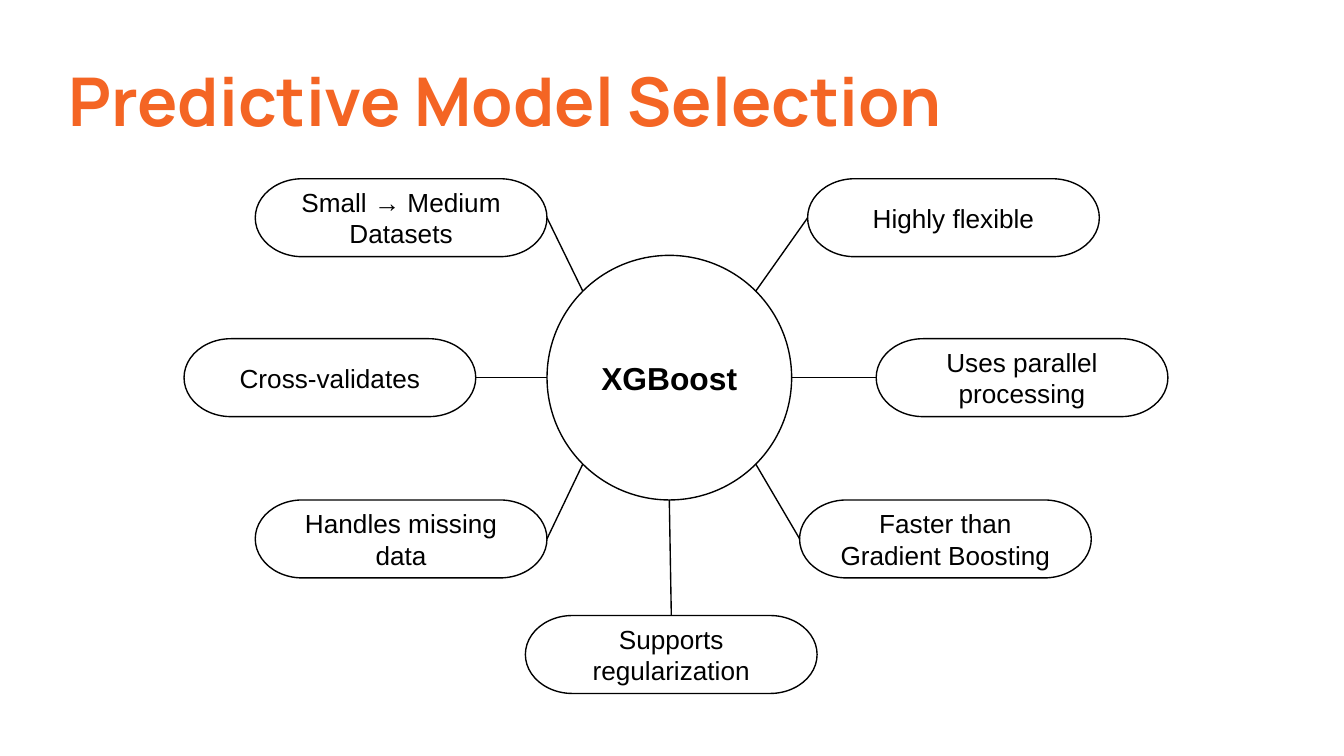
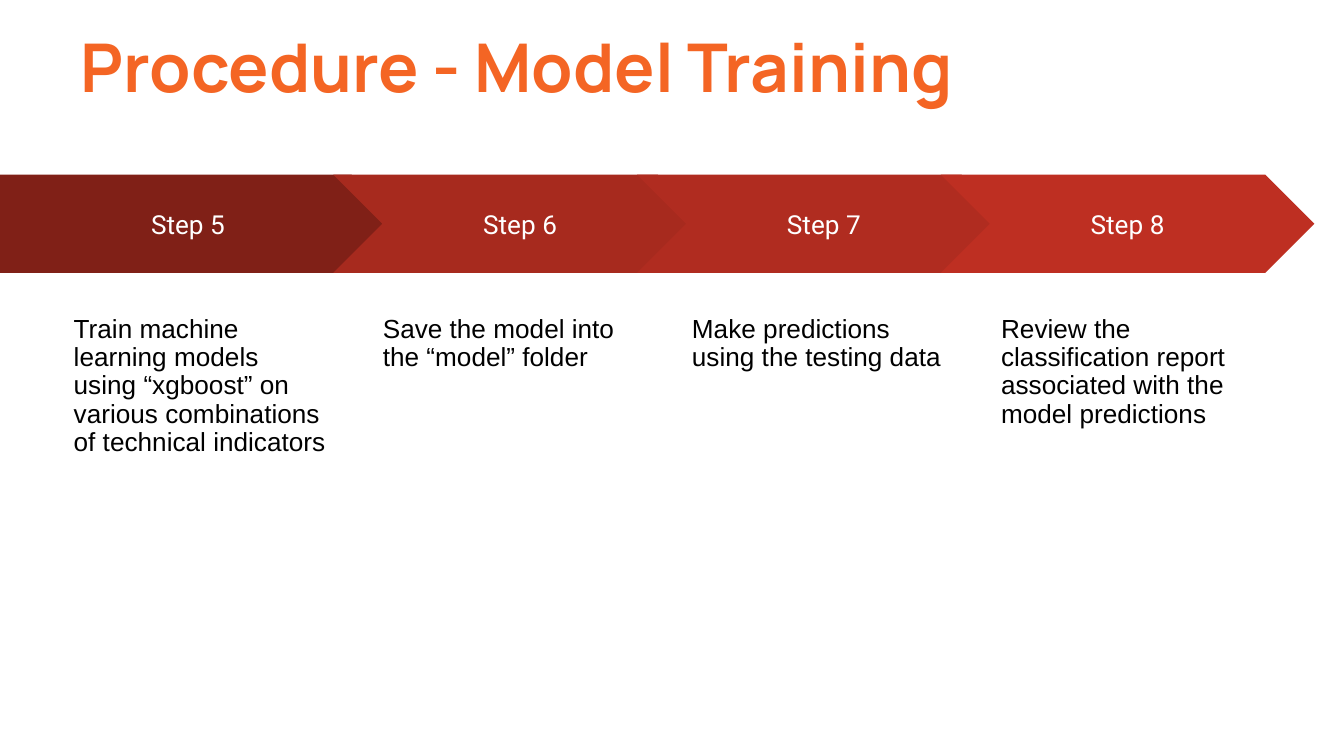
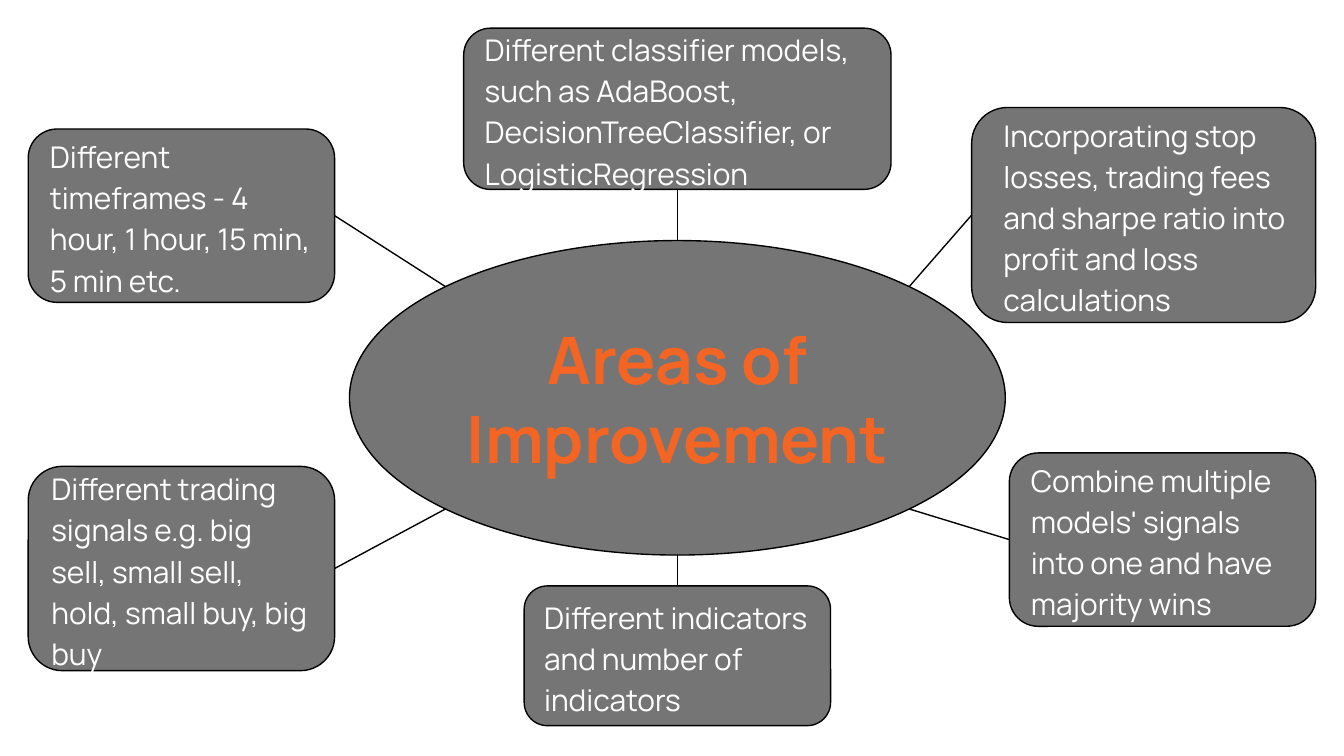
import math

import pptx
import pptx.dml.color
import pptx.enum.shapes
import pptx.enum.text
import pptx.oxml
import pptx.util

Inches = pptx.util.Inches
Pt = pptx.util.Pt
RGBColor = pptx.dml.color.RGBColor
SHAPE = pptx.enum.shapes.MSO_SHAPE
ALIGN = pptx.enum.text.PP_ALIGN
ANCHOR = pptx.enum.text.MSO_ANCHOR

ORANGE = RGBColor(0xF4, 0x65, 0x24)
BLACK = RGBColor(0, 0, 0)
WHITE = RGBColor(255, 255, 255)
GRAY = RGBColor(0x75, 0x75, 0x75)

TITLE = dict(font="Manrope", size=36, color=ORANGE, bold=True, after=16)
TOPIC = dict(TITLE, size=35, align=ALIGN.CENTER)
CORE = dict(font="Arial", size=17, color=BLACK, bold=True, align=ALIGN.CENTER)
TRAIT = dict(font="Arial", size=14, color=BLACK, align=ALIGN.CENTER)
STEP = dict(font="Roboto", size=14, color=WHITE, align=ALIGN.CENTER)
NOTE = dict(font="Arial", size=14, color=BLACK, before=10, lead=0.9)
IDEA = dict(font="Manrope", size=16, color=WHITE, before=6, after=5, lead=1.15)

TOP, LEFT, BOTTOM, RIGHT = range(4)

# Each node: text, box, side where its spoke ends, angle of the spoke on
# the hub (degrees clockwise from the right), left indent.
PILL = (2.17, 0.58)
TRAITS = [
    ("Highly flexible", (6.01, 1.33, *PILL), LEFT, -45, 0),
    ("Uses parallel processing", (6.52, 2.52, *PILL), LEFT, 0, 0),
    ("Faster than Gradient Boosting", (5.95, 3.72, *PILL), LEFT, 45, 0),
    ("Supports regularization", (3.91, 4.58, *PILL), TOP, 90, 0),
    ("Handles missing data", (1.9, 3.72, *PILL), RIGHT, 135, 0),
    ("Cross-validates", (1.37, 2.52, *PILL), RIGHT, 180, 0),
    ("Small → Medium Datasets", (1.9, 1.33, *PILL), RIGHT, 225, 0),
]
IDEAS = [
    ("Incorporating stop losses, trading fees and sharpe ratio into profit "
     "and loss calculations", (7.23, 0.8, 2.56, 1.6), LEFT, -45, 0.06),
    ("Different timeframes - 4 hour, 1 hour, 15 min, 5 min etc.",
     (0.21, 0.96, 2.28, 1.29), RIGHT, 225, 0),
    ("Different trading signals e.g. big sell, small sell, hold, small buy, "
     "big buy", (0.21, 3.47, 2.28, 1.52), RIGHT, 135, 0),
    ("Different indicators and number of indicators",
     (3.9, 4.36, 2.28, 1.04), TOP, 90, 0),
    ("Combine multiple models' signals into one and have majority wins",
     (7.51, 3.37, 2.28, 1.29), LEFT, 45, 0),
    ("Different classifier models, such as AdaBoost, DecisionTreeClassifier, "
     "or LogisticRegression", (3.45, 0.21, 3.18, 1.2), BOTTOM, 270, 0),
]
STEPS = [
    ("Step 5", RGBColor(0x80, 0x20, 0x17),
     "Train machine learning models using “xgboost” on various combinations "
     "of technical indicators"),
    ("Step 6", RGBColor(0xA7, 0x2A, 0x1E),
     "Save the model into the “model” folder"),
    ("Step 7", RGBColor(0xB0, 0x2C, 0x20),
     "Make predictions using the testing data"),
    ("Step 8", RGBColor(0xBE, 0x2F, 0x22),
     "Review the classification report associated with the model predictions"),
]


def write(frame, text, font, size, color, bold=False, align=ALIGN.LEFT,
          before=0, after=0, lead=1.0, indent=0, anchor=ANCHOR.MIDDLE):
    frame.word_wrap = True
    frame.auto_size = pptx.enum.text.MSO_AUTO_SIZE.NONE
    frame.vertical_anchor = anchor
    frame.margin_left = frame.margin_right = Inches(0.1)
    frame.margin_top = frame.margin_bottom = Inches(0.1)
    para = frame.paragraphs[0]
    para.alignment = align
    para.space_before, para.space_after = Pt(before), Pt(after)
    para.line_spacing = lead
    if indent:
        props = para._p.get_or_add_pPr()
        props.set("marL", str(Inches(indent)))
        props.set("indent", "0")
    run = para.add_run()
    run.text = text
    run.font.name, run.font.size = font, Pt(size)
    run.font.bold, run.font.color.rgb = bold, color


def add_box(shapes, kind, box, fill, text, style, line=None, indent=0):
    shape = shapes.add_shape(kind, *map(Inches, box))
    shape.shadow.inherit = False
    shape.fill.solid()
    shape.fill.fore_color.rgb = fill
    if line is None:
        shape.line.fill.background()
    else:
        shape.line.color.rgb = line
        shape.line.width = Pt(0.75)
    write(shape.text_frame, text, indent=indent, **style)
    return shape


def add_spoke(shapes, hub, node, side, angle):
    """Draw a line from the hub's rim at the angle to a side of the node."""
    turn = math.radians(angle)
    x = hub.left + hub.width / 2 * (1 + math.cos(turn))
    y = hub.top + hub.height / 2 * (1 + math.sin(turn))
    spoke = shapes.add_connector(
        pptx.enum.shapes.MSO_CONNECTOR.STRAIGHT, round(x), round(y), 0, 0)
    spoke.end_connect(node, side)
    spoke.line.color.rgb = BLACK
    spoke.line.width = Pt(0.75)
    spoke._element.spPr.append(pptx.oxml.parse_xml(
        '<a:effectLst xmlns:a='
        '"http://schemas.openxmlformats.org/drawingml/2006/main"/>'))


def add_web(slide, box, topic, core, nodes, kind, fill, style):
    """Draw a central ellipse joined to the nodes around it."""
    shapes = slide.shapes
    hub = add_box(shapes, SHAPE.OVAL, box, fill, topic, core, BLACK)
    ends = []
    for text, place, side, angle, indent in nodes:
        node = add_box(shapes, kind, place, fill, text, style, BLACK, indent)
        ends.append((node, side, angle))
    for end in ends:
        add_spoke(shapes, hub, *end)


def add_titled(deck, text, box):
    slide = deck.slides.add_slide(deck.slide_layouts[5])
    title = slide.shapes.title
    title.left, title.top, title.width, title.height = map(Inches, box)
    write(title.text_frame, text, anchor=ANCHOR.TOP, **TITLE)
    return slide


def add_steps(slide):
    for i, (label, fill, text) in enumerate(STEPS):
        if i == 0:
            kind, left, width = SHAPE.PENTAGON, 0, 2.98
        else:
            kind, left, width = SHAPE.CHEVRON, 0.22 + 2.26 * i, 2.78
        group = slide.shapes.add_group_shape().shapes
        add_box(group, kind, (left, 1.3, width, 0.73), fill, label, STEP)
        note = group.add_textbox(
            *map(Inches, (0.45 + 2.3 * i, 2.25, 2.08, 2.86)))
        write(note.text_frame, text, anchor=ANCHOR.TOP, **NOTE)


def main():
    deck = pptx.Presentation()
    deck.slide_width = Inches(10)
    deck.slide_height = deck.slide_width * 9 // 16

    slide = add_titled(deck, "Predictive Model Selection",
                       (0.41, 0.34, 8.51, 0.84))
    add_web(slide, (4.07, 1.9, 1.82, 1.82), "XGBoost", CORE, TRAITS,
            SHAPE.FLOWCHART_TERMINATOR, WHITE, TRAIT)

    slide = add_titled(deck, "Procedure - Model Training",
                       (0.5, 0.09, 8.54, 0.84))
    add_steps(slide)

    slide = deck.slides.add_slide(deck.slide_layouts[6])
    add_web(slide, (2.6, 1.79, 4.88, 2.34), "Areas of Improvement", TOPIC,
            IDEAS, SHAPE.ROUNDED_RECTANGLE, GRAY, IDEA)

    deck.save("out.pptx")


if __name__ == "__main__":
    main()
